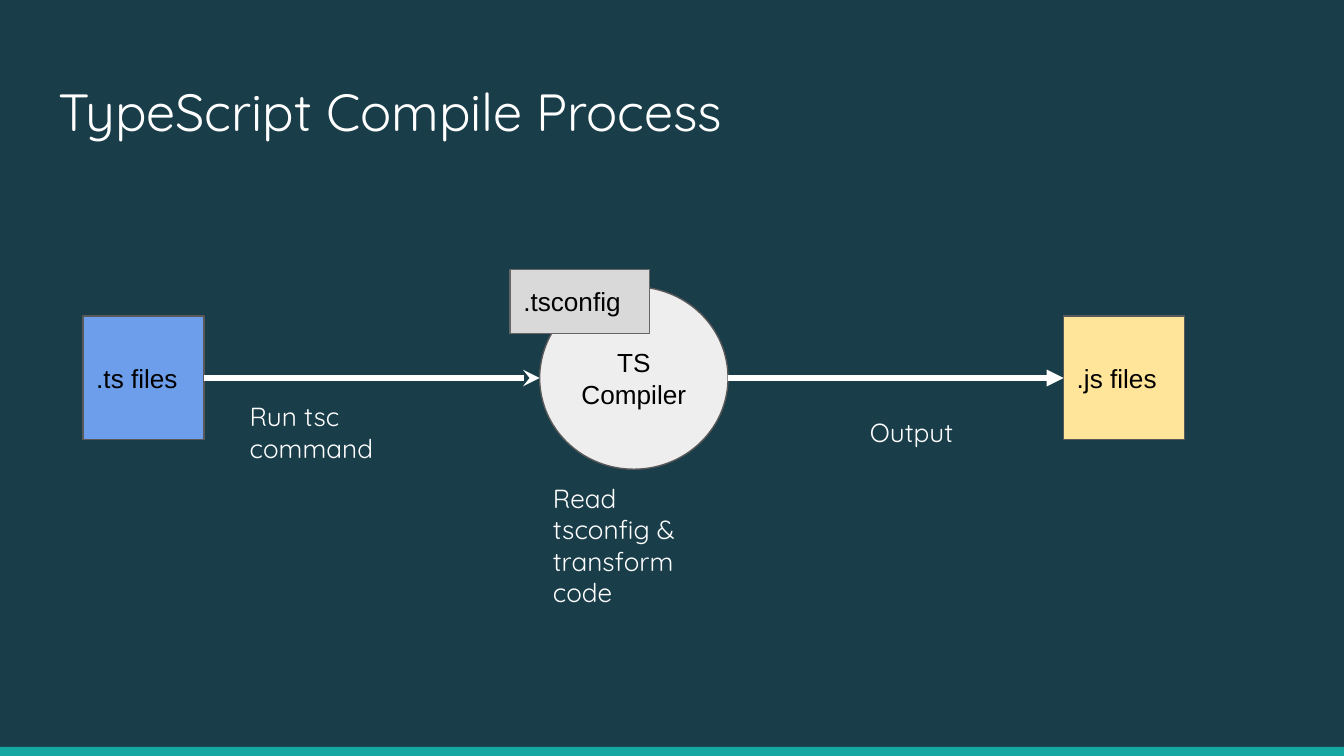
from lxml import etree
from pptx import Presentation
from pptx.dml.color import RGBColor
from pptx.enum.shapes import MSO_CONNECTOR, MSO_SHAPE
from pptx.enum.text import MSO_ANCHOR, MSO_AUTO_SIZE, PP_ALIGN
from pptx.oxml.ns import qn
from pptx.util import Cm, Pt

RECT, OVAL = MSO_SHAPE.RECTANGLE, MSO_SHAPE.OVAL
LINE = MSO_CONNECTOR.STRAIGHT
TOP, MID = MSO_ANCHOR.TOP, MSO_ANCHOR.MIDDLE
LEFT, CENTER = PP_ALIGN.LEFT, PP_ALIGN.CENTER
FIXED = MSO_AUTO_SIZE.NONE

NAVY = RGBColor(0x19, 0x3D, 0x49)
TEAL = RGBColor(0x16, 0xA7, 0xA2)
WHITE = RGBColor(0xFF, 0xFF, 0xFF)
BLACK = RGBColor(0x00, 0x00, 0x00)
BLUE = RGBColor(0x6D, 0x9E, 0xEB)
YELLOW = RGBColor(0xFF, 0xE5, 0x99)
PALE = RGBColor(0xEE, 0xEE, 0xEE)
GRAY = RGBColor(0xD9, 0xD9, 0xD9)
EDGE = RGBColor(0x59, 0x59, 0x59)
TAG_EDGE = RGBColor(0x66, 0x66, 0x66)

WIDE, HIGH = 25.4, 14.29
PAD = 0.25


def set_text(shape, text, font, size, color, anchor=TOP, align=LEFT):
    frame = shape.text_frame
    frame.text = text
    frame.word_wrap = True
    frame.auto_size = FIXED
    frame.vertical_anchor = anchor
    frame.margin_left = frame.margin_right = Cm(PAD)
    frame.margin_top = frame.margin_bottom = Cm(PAD)
    for par in frame.paragraphs:
        par.alignment = align
        for run in par.runs:
            run.font.name = font
            run.font.size = Pt(size)
            run.font.color.rgb = color


def add_node(slide, kind, box, fill, edge=None):
    node = slide.shapes.add_shape(kind, *map(Cm, box))
    node.shadow.inherit = False
    node.fill.solid()
    node.fill.fore_color.rgb = fill
    if edge is None:
        node.line.fill.background()
    else:
        node.line.color.rgb = edge
        node.line.width = Pt(0.75)
    return node


def add_arrow(slide, start, end, y, head):
    arrow = slide.shapes.add_connector(LINE, Cm(start), Cm(y), Cm(end), Cm(y))
    arrow.line.color.rgb = WHITE
    arrow.line.width = Pt(3)
    etree.SubElement(arrow.line._get_or_add_ln(), qn("a:tailEnd"), type=head)
    etree.SubElement(arrow._element.spPr, qn("a:effectLst"))


def add_title(slide, box, text):
    title = slide.shapes.title
    title.left, title.top, title.width, title.height = map(Cm, box)
    set_text(title, text, "Quicksand", 28, WHITE)


def add_flow(slide, box):
    left, top, width, height = box
    mid = top + height / 2
    side, tall = 2.29, 2.34
    disk, disk_tall = 3.56, 3.45
    disk_left = left + (width - disk) / 2
    right = left + width - side

    # Compiler and files
    nodes = [
        (OVAL, disk_left, disk, disk_tall, PALE, "TS Compiler", CENTER),
        (RECT, left, side, tall, BLUE, ".ts files", LEFT),
        (RECT, right, side, tall, YELLOW, ".js files", LEFT),
    ]
    for kind, x, w, h, fill, text, align in nodes:
        node = add_node(slide, kind, (x, mid - h / 2, w, h), fill, EDGE)
        set_text(node, text, "Arial", 14, BLACK, MID, align)

    # Arrows between the nodes
    add_arrow(slide, left + side, disk_left, mid, "stealth")
    add_arrow(slide, disk_left + disk, right, mid, "triangle")

    # Config tag on the compiler
    tag = add_node(slide, RECT, (disk_left - 0.56, top - 0.33, 2.64, 1.22),
                   GRAY, TAG_EDGE)
    set_text(tag, ".tsconfig", "Arial", 14, BLACK, MID)

    # Step labels
    labels = [
        (left + 2.9, mid + 0.18, 3.56, 1.98, "Run tsc command"),
        (right - 3.91, mid + 0.48, 2.64, 1.22, "Output"),
        (disk_left, top + height, disk, 2.39,
         "Read tsconfig & transform code"),
    ]
    for *area, text in labels:
        label = slide.shapes.add_textbox(*map(Cm, area))
        set_text(label, text, "Quicksand", 14, WHITE)


def main():
    deck = Presentation()
    deck.slide_width, deck.slide_height = Cm(WIDE), Cm(HIGH)
    slide = deck.slides.add_slide(deck.slide_layouts[5])
    slide.background.fill.solid()
    slide.background.fill.fore_color.rgb = NAVY

    # Bottom bar
    add_node(slide, RECT, (0, HIGH - 0.17, WIDE, 0.17), TEAL)
    add_title(slide, (0.86, 1.24, 23.67, 1.6), "TypeScript Compile Process")
    add_flow(slide, (1.57, 5.42, 20.82, 3.45))
    deck.save("out.pptx")


if __name__ == "__main__":
    main()
